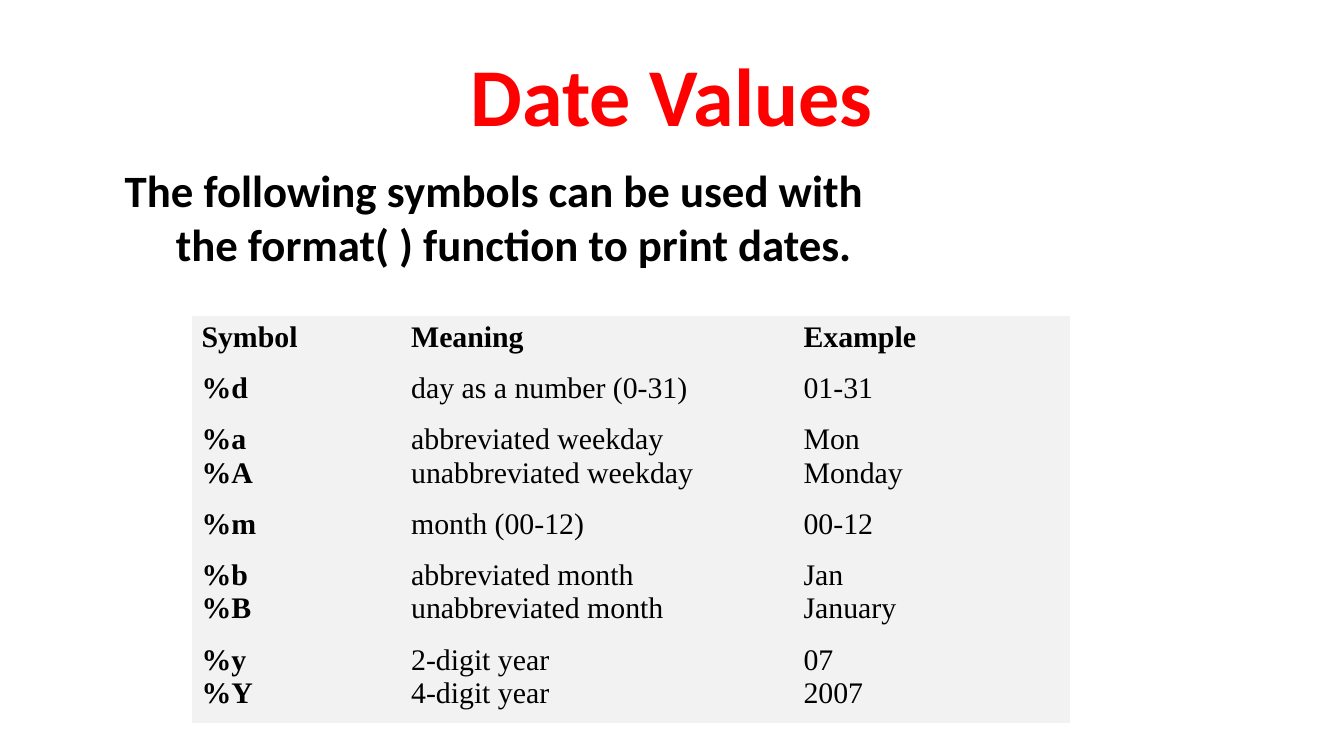
import copy
from typing import NamedTuple

import pptx
import pptx.dml.color
import pptx.enum.text
import pptx.util
from pptx.dml.color import RGBColor
from pptx.util import Inches

RED = RGBColor(0xFF, 0x00, 0x00)
BLACK = RGBColor(0x00, 0x00, 0x00)
GREY = RGBColor(0xF2, 0xF2, 0xF2)
NO_GRID = "{2D5ABB26-0587-4C30-8999-92F81FD0307C}"  # table style without lines


class Style(NamedTuple):
    face: str
    size: int
    tint: RGBColor
    bold: bool


class Box(NamedTuple):
    left: float
    top: float
    width: float
    height: float


class Row(NamedTuple):
    symbol: str
    meaning: str
    example: str


TITLE = Style("Calibri", 44, RED, True)
LEAD = Style("Calibri", 24, BLACK, True)
HEAD = Style("Times New Roman", 16, BLACK, True)
PLAIN = HEAD._replace(bold=False)

WIDTHS = [1.56, 2.92, 2.05]
LINE = 0.25  # height of a further line in a row
BASE = 0.38  # height of a row with one line
ROWS = [
    Row("Symbol", "Meaning", "Example"),
    Row("%d", "day as a number (0-31)", "01-31"),
    Row("%a\n%A", "abbreviated weekday\nunabbreviated weekday", "Mon\nMonday"),
    Row("%m", "month (00-12)", "00-12"),
    Row("%b\n%B", "abbreviated month\nunabbreviated month", "Jan\nJanuary"),
    Row("%y\n%Y", "2-digit year\n4-digit year", "07\n2007"),
]


def write(frame, text: str, style: Style):
    """Fill the first paragraph; a newline becomes a line break."""
    para = frame.paragraphs[0]
    para.text = text
    for run in para.runs:
        font = run.font
        font.name = style.face
        font.size = pptx.util.Pt(style.size)
        font.bold = style.bold
        font.color.rgb = style.tint
    # Line breaks take the size of the text around them
    for gap in para._p.xpath("a:br"):
        gap.insert(0, copy.deepcopy(para.runs[0]._r.rPr))
    return para


def add_text(slide, box: Box, text: str, style: Style):
    frame = slide.shapes.add_textbox(*map(Inches, box)).text_frame
    frame.word_wrap = True
    return frame, write(frame, text, style)


def add_grid(slide, left: float, top: float) -> None:
    highs = [BASE + LINE * row.symbol.count("\n") for row in ROWS]
    grid = slide.shapes.add_table(
        len(ROWS), len(WIDTHS), Inches(left), Inches(top),
        Inches(sum(WIDTHS)), Inches(sum(highs))).table
    grid._tbl.tblPr.xpath("a:tableStyleId")[0].text = NO_GRID
    grid.horz_banding = False
    for col, width in zip(grid.columns, WIDTHS):
        col.width = Inches(width)
    for i, row in enumerate(ROWS):
        grid.rows[i].height = Inches(highs[i])
        for j, text in enumerate(row):
            cell = grid.cell(i, j)
            cell.fill.solid()
            cell.fill.fore_color.rgb = GREY
            cell.margin_left = cell.margin_right = Inches(0.07)
            cell.margin_top = cell.margin_bottom = Inches(0.04)
            write(cell.text_frame, text, HEAD if i == 0 or j == 0 else PLAIN)


def main() -> None:
    deck = pptx.Presentation()
    deck.slide_width = Inches(10)
    deck.slide_height = Inches(10 * 9 / 16)
    slide = deck.slides.add_slide(deck.slide_layouts[6])

    # Title
    frame, para = add_text(slide, Box(0.5, 0.23, 9, 0.94), "Date Values", TITLE)
    frame.vertical_anchor = pptx.enum.text.MSO_ANCHOR.MIDDLE
    para.alignment = pptx.enum.text.PP_ALIGN.CENTER

    # Lead sentence with a hanging indent
    _, para = add_text(
        slide, Box(0.08, 1.16, 6.94, 2.38),
        "The following symbols can be used with the format( ) function to print dates.",
        LEAD)
    props = para._p.get_or_add_pPr()
    props.set("marL", str(Inches(1.13)))
    props.set("indent", str(Inches(-0.38)))

    # Table of symbols
    add_grid(slide, 1.43, 2.35)

    deck.save("out.pptx")


if __name__ == "__main__":
    main()
